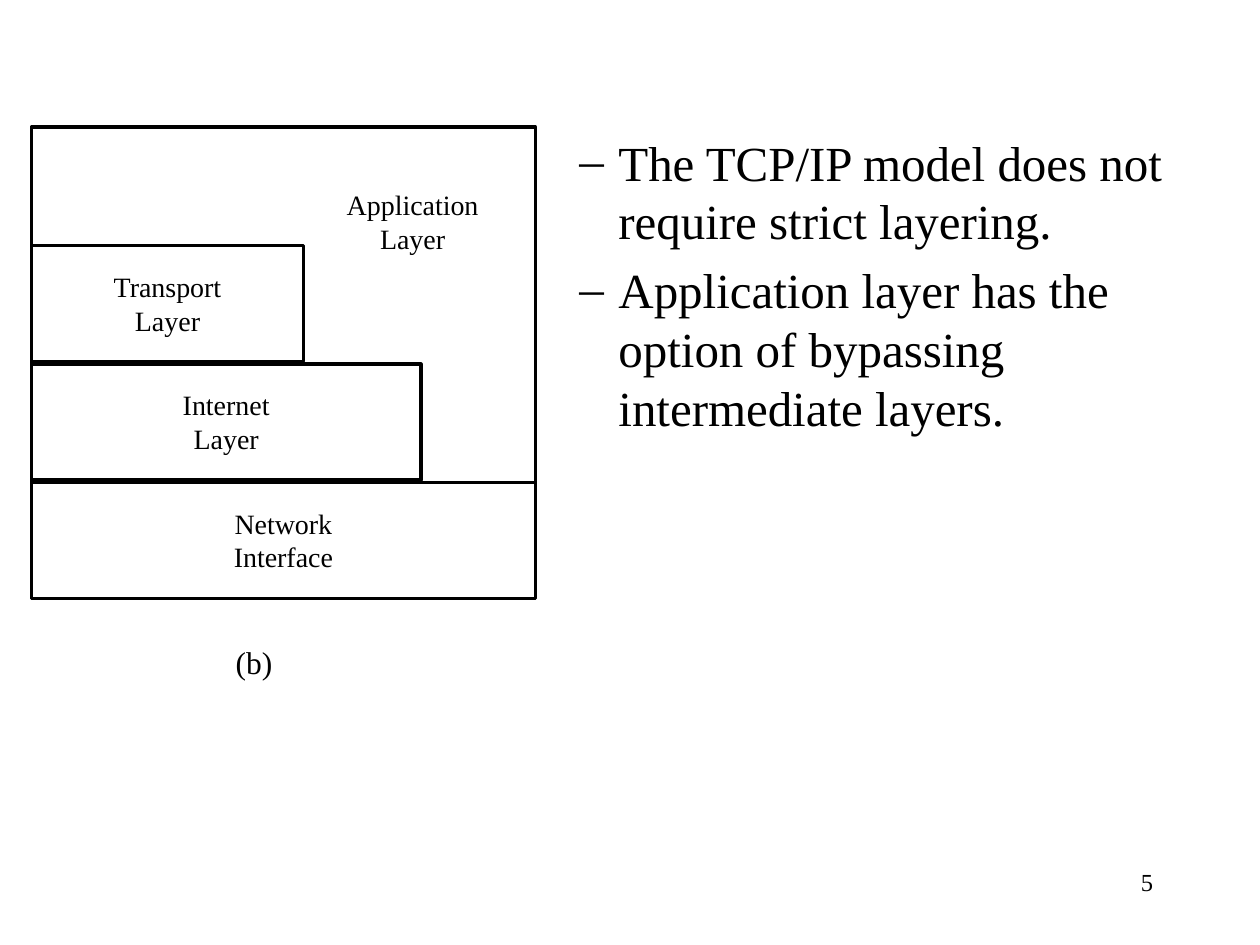
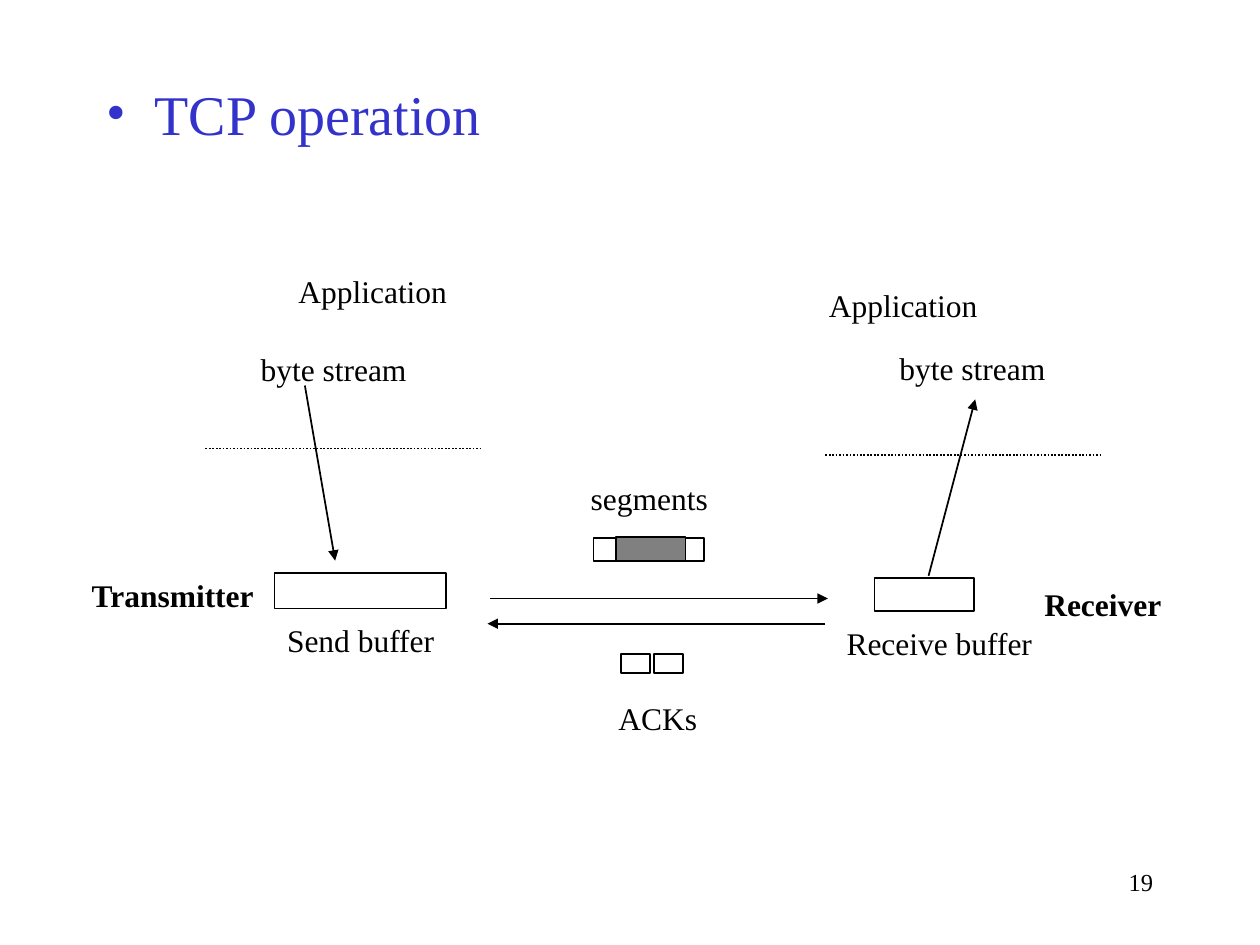
from dataclasses import dataclass

from lxml import etree
from pptx import Presentation
from pptx.dml.color import RGBColor
from pptx.enum.dml import MSO_LINE
from pptx.enum.shapes import MSO_CONNECTOR, MSO_SHAPE
from pptx.enum.text import MSO_ANCHOR, MSO_AUTO_SIZE, PP_ALIGN
from pptx.oxml.ns import qn
from pptx.util import Inches, Pt

LEFT, MID, RIGHT = PP_ALIGN.LEFT, PP_ALIGN.CENTER, PP_ALIGN.RIGHT
TOP, MIDDLE = MSO_ANCHOR.TOP, MSO_ANCHOR.MIDDLE
GROW = MSO_AUTO_SIZE.SHAPE_TO_FIT_TEXT
RECT = MSO_SHAPE.RECTANGLE
STRAIGHT = MSO_CONNECTOR.STRAIGHT
DOTS = MSO_LINE.ROUND_DOT


@dataclass(frozen=True)
class Theme:
    """Colours, font and type sizes of the deck."""
    font: str = "Times New Roman"
    ink: RGBColor = RGBColor(0, 0, 0)
    head: RGBColor = RGBColor(0x33, 0x33, 0xCC)
    gray: RGBColor = RGBColor(0x80, 0x80, 0x80)
    title: int = 32
    body: int = 28
    label: int = 18
    layer: int = 16
    page: int = 14


THEME = Theme()


def add_text(slide, box, lines, size, color=THEME.ink, align=LEFT,
             bold=False, wrap=True, anchor=TOP):
    """Add a text box with one paragraph per line; return its paragraphs."""
    frame = slide.shapes.add_textbox(*map(Inches, box)).text_frame
    frame.word_wrap = wrap
    if not wrap:
        frame.auto_size = GROW
    frame.vertical_anchor = anchor
    frame.text = "\n".join(lines)
    for par in frame.paragraphs:
        par.alignment = align
        font = par.font
        font.name, font.size, font.bold = THEME.font, Pt(size), bold
        font.color.rgb = color
    return frame.paragraphs


def add_list(slide, box, lines, mark, size, color, left, hang):
    """Add a bulleted list with a hanging indent."""
    for par in add_text(slide, box, lines, size, color):
        par.space_before = Pt(size * 0.2)
        props = par._p.get_or_add_pPr()
        props.set("marL", str(Inches(left)))
        props.set("indent", str(-Inches(hang)))
        # Bullet marks must precede the default run properties.
        default = props.find(qn("a:defRPr"))
        for tag, key, value in (("a:buFont", "typeface", THEME.font),
                                ("a:buChar", "char", mark)):
            part = etree.SubElement(props, qn(tag))
            part.set(key, value)
            if default is not None:
                default.addprevious(part)


def add_rect(slide, box, weight=1, fill=None):
    """Add an outlined rectangle, hollow unless a fill is given."""
    rect = slide.shapes.add_shape(RECT, *map(Inches, box))
    rect.shadow.inherit = False
    rect.line.color.rgb = THEME.ink
    rect.line.width = Pt(weight)
    if fill is None:
        rect.fill.background()
    else:
        rect.fill.solid()
        rect.fill.fore_color.rgb = fill


def add_line(slide, start, end, dash=None):
    """Add a dashed line, or an arrow when no dash is given."""
    link = slide.shapes.add_connector(STRAIGHT, *map(Inches, start + end))
    link.line.color.rgb = THEME.ink
    link.line.width = Pt(1)
    if dash:
        link.line.dash_style = dash
    else:
        tip = etree.SubElement(link.line._get_or_add_ln(), qn("a:tailEnd"))
        tip.set("type", "triangle")
    etree.SubElement(link._element.spPr, qn("a:effectLst"))


def add_label(slide, x, y, wide, text, bold=False):
    """Add a one-line diagram label."""
    add_text(slide, (x, y, wide, 0.4), [text], THEME.label,
             bold=bold, wrap=False)


def add_page(slide, number):
    """Add the page number at the lower right."""
    add_text(slide, (7.17, 6.83, 2.08, 0.5), [str(number)], THEME.page,
             align=RIGHT)


def draw_stack(slide, x, y, wide, tall):
    """Draw the layer stack, its steps growing wider downwards."""
    add_rect(slide, (x, y, wide, tall), 2)
    add_text(slide, (x + 2.4, y + 0.43, 1.25, 0.63),
             ["Application", "Layer"], THEME.layer, align=MID, wrap=False)
    step, high = 0.94, 0.92
    layers = [(2.16, 2, ["Transport", "Layer"]),
              (3.09, 2, ["Internet", "Layer"]),
              (wide, 1.25, ["Network", "Interface"])]
    for row, (span, weight, lines) in enumerate(layers, 1):
        top = y + row * step
        add_rect(slide, (x, top, span, high), weight)
        add_text(slide, (x, top + 0.14, span, 0.64), lines, THEME.layer,
                 align=MID)
    add_text(slide, (x + 1.52, y + tall + 0.3, 0.49, 0.4), ["(b)"],
             THEME.label, align=MID, wrap=False, anchor=MIDDLE)


def draw_sender(slide, x, y):
    """Draw the sending side: application, stream and buffer."""
    add_label(slide, x + 1.64, y, 1.38, "Application")
    add_label(slide, x + 1.34, y + 0.62, 1.36, "byte stream")
    add_line(slide, (x + 1, y + 1.45), (x + 3.19, y + 1.45), DOTS)
    add_line(slide, (x + 1.79, y + 0.95), (x + 2.03, y + 2.34))
    add_rect(slide, (x + 1.55, y + 2.44, 1.36, 0.28))
    add_label(slide, x + 1.55, y + 2.77, 1.37, "Send buffer")
    add_label(slide, x, y + 2.41, 1.5, "Transmitter", bold=True)


def draw_taker(slide, x, y):
    """Draw the receiving side: application, stream and buffer."""
    add_label(slide, x, y, 1.38, "Application")
    add_label(slide, x + 0.56, y + 0.5, 1.36, "byte stream")
    add_line(slide, (x + 0.07, y + 1.39), (x + 2.25, y + 1.39), DOTS)
    add_line(slide, (x + 0.89, y + 2.35), (x + 1.26, y + 0.95))
    add_rect(slide, (x + 0.46, y + 2.37, 0.79, 0.26))
    add_label(slide, x + 0.14, y + 2.68, 1.68, "Receive buffer")
    add_label(slide, x + 1.71, y + 2.37, 1.14, "Receiver", bold=True)


def draw_link(slide, x, y, wide):
    """Draw the segments going right and the ACKs coming back."""
    add_label(slide, x + 0.72, y, 1.13, "segments")
    add_rect(slide, (x + 0.84, y + 0.52, 0.88, 0.18))
    add_rect(slide, (x + 1.02, y + 0.51, 0.55, 0.19), fill=THEME.gray)
    add_line(slide, (x + 0.02, y + 1), (x + wide, y + 1))
    add_line(slide, (x + wide - 0.02, y + 1.2), (x, y + 1.2))
    for col in range(2):
        add_rect(slide, (x + 1.06 + col * 0.26, y + 1.44, 0.23, 0.15))
    add_label(slide, x + 0.94, y + 1.75, 0.84, "ACKs")


def build_model(slide):
    """Build the slide on layering in the TCP/IP model."""
    add_list(slide, (4, 1, 5.42, 5),
             ["The TCP/IP model does not require strict layering.",
              "Application layer has the option of bypassing "
              "intermediate layers."],
             "\u2013", THEME.body, THEME.ink, 0.81, 0.31)
    draw_stack(slide, 0.25, 1.01, 4, 3.74)
    add_page(slide, 5)


def build_flow(slide):
    """Build the slide on TCP operation."""
    add_list(slide, (0.75, 0.58, 8.5, 6.08), ["TCP operation"],
             "\u2022", THEME.title, THEME.head, 0.38, 0.38)
    draw_sender(slide, 0.63, 2.11)
    draw_taker(slide, 6.48, 2.22)
    draw_link(slide, 3.87, 3.75, 2.7)
    add_page(slide, 19)


deck = Presentation()
deck.slide_width, deck.slide_height = Inches(10), Inches(7.5)
for build in (build_model, build_flow):
    build(deck.slides.add_slide(deck.slide_layouts[6]))
deck.save("out.pptx")
